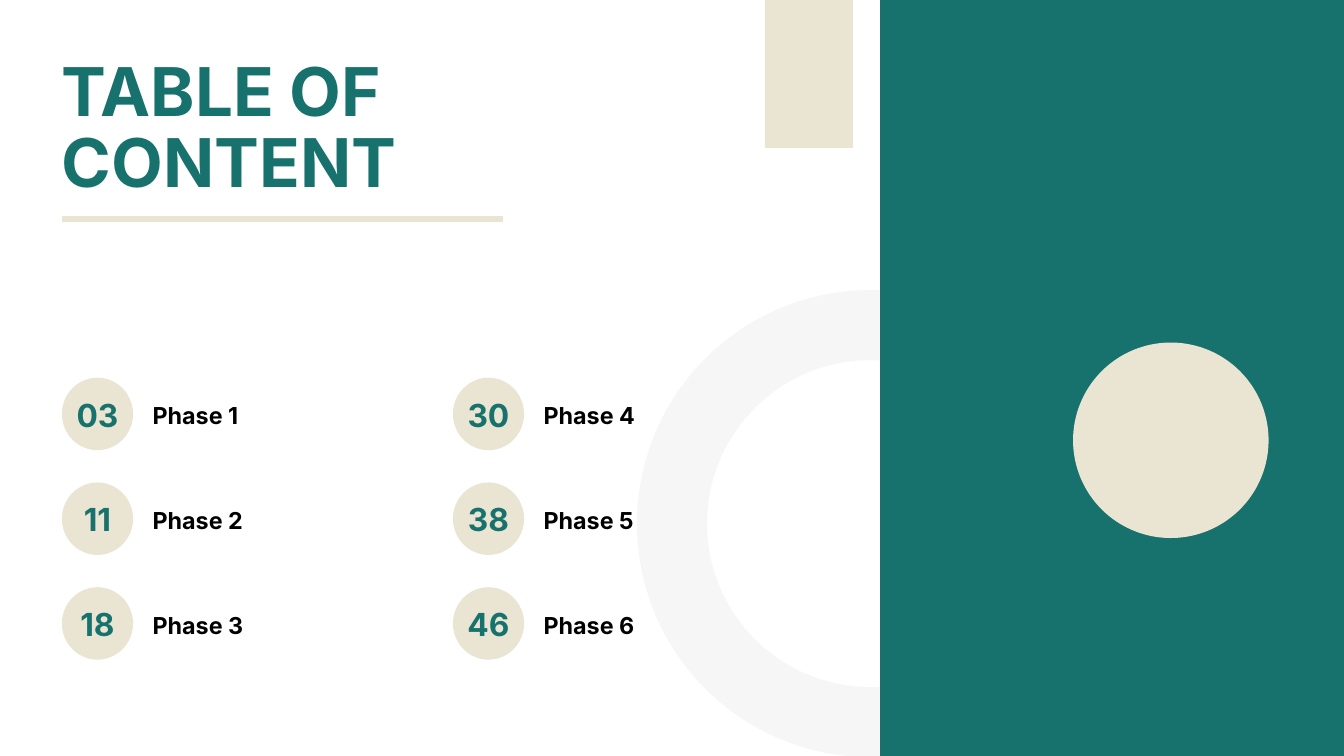
from lxml import etree
from pptx import Presentation
from pptx.dml.color import RGBColor
from pptx.enum import shapes, text
from pptx.oxml.ns import qn
from pptx.util import Cm, Pt

TEAL, SAND, PALE, BLACK = "17726D", "EAE4D2", "F6F6F6", "000000"
PHASES = [("03", "Phase 1"), ("11", "Phase 2"), ("18", "Phase 3"),
          ("30", "Phase 4"), ("38", "Phase 5"), ("46", "Phase 6")]
ROWS = 3


def colour(value):
    """Turn a hex string into a colour."""
    return RGBColor.from_string(value)


def lengths(*values):
    """Turn centimetre numbers into lengths."""
    return [Cm(value) for value in values]


def write(shape, words, size, ink, spacing, align=text.PP_ALIGN.LEFT,
          anchor=text.MSO_ANCHOR.TOP, bottom=0, wrap=True):
    """Put one formatted bold paragraph in a shape."""
    frame = shape.text_frame
    frame.auto_size = text.MSO_AUTO_SIZE.NONE
    frame.word_wrap = wrap
    frame.vertical_anchor = anchor
    frame.margin_left = frame.margin_right = frame.margin_top = 0
    frame.margin_bottom = Cm(bottom)
    para = frame.paragraphs[0]
    para.alignment = align
    para.line_spacing = Pt(spacing)
    para.space_before = Pt(0)
    span = para.add_run()
    span.text = words
    span.font.name = "Inter"
    span.font.size = Pt(size)
    span.font.bold = True
    span.font.color.rgb = colour(ink)


def add_plain(page, kind, box, fill=None, outline=None, weight=0):
    """Add a flat shape with an optional fill and outline."""
    shape = page.shapes.add_shape(kind, *lengths(*box))
    shape.shadow.inherit = False
    if fill:
        shape.fill.solid()
        shape.fill.fore_color.rgb = colour(fill)
    else:
        shape.fill.background()
    if outline:
        shape.line.color.rgb = colour(outline)
        shape.line.width = Pt(weight)
    else:
        shape.line.fill.background()
    return shape


def add_decoration(page, left, top, width, height):
    """Draw the ring, teal panel, disc and hanging tab in the box."""
    oval, rectangle = shapes.MSO_SHAPE.OVAL, shapes.MSO_SHAPE.RECTANGLE
    add_plain(page, oval, (left + 25.4, top + 12.29, 15.01, 15.01),
              outline=PALE, weight=75)
    add_plain(page, rectangle, (left + 33.27, top, width - 33.27, height), TEAL)
    add_plain(page, oval, (left + 40.56, top + 12.95, 7.39, 7.39), SAND)
    add_plain(page, rectangle, (left + 28.91, top, 3.33, 5.59), SAND)


def add_heading(page, left, top, width, height):
    """Place the title and the rule below it."""
    title = page.shapes.title
    title.left, title.top, title.width, title.height = lengths(left, top, width, height)
    write(title, "TABLE OF CONTENT", 72, TEAL, 75.6)
    rule_y = top + height + 0.61
    rule = page.shapes.add_connector(
        shapes.MSO_CONNECTOR.STRAIGHT, *lengths(left, rule_y, left + 16.69, rule_y))
    rule.line.color.rgb = colour(SAND)
    rule.line.width = Pt(6)
    etree.SubElement(rule._element.spPr, qn("a:effectLst"))


def add_entry(page, left, top, number, name):
    """Draw a numbered badge with its phase name."""
    badge = add_plain(page, shapes.MSO_SHAPE.OVAL, (left, top, 2.69, 2.74), SAND)
    write(badge, number, 34, TEAL, 47.6, align=text.PP_ALIGN.CENTER,
          anchor=text.MSO_ANCHOR.MIDDLE, bottom=0.2, wrap=False)
    label = page.shapes.add_textbox(*lengths(left + 3.43, top + 0.71, 10.03, 1.17))
    write(label, name, 25, BLACK, 35)


def add_contents(page, left, top, width, height):
    """Lay out the entries column by column in the box."""
    columns = len(PHASES) // ROWS
    for index, (number, name) in enumerate(PHASES):
        column, row = divmod(index, ROWS)
        add_entry(page, left + column * width / columns,
                  top + row * height / ROWS, number, name)


def main():
    """Build and save the deck."""
    deck = Presentation()
    deck.slide_width, deck.slide_height = lengths(50.8, 28.58)
    page = deck.slides.add_slide(deck.slide_layouts[5])
    add_decoration(page, 0, 0, 50.8, 28.58)
    add_heading(page, 2.34, 2.26, 19.89, 5.41)
    add_contents(page, 2.34, 14.28, 29.56, 11.88)
    deck.save("out.pptx")


if __name__ == "__main__":
    main()
